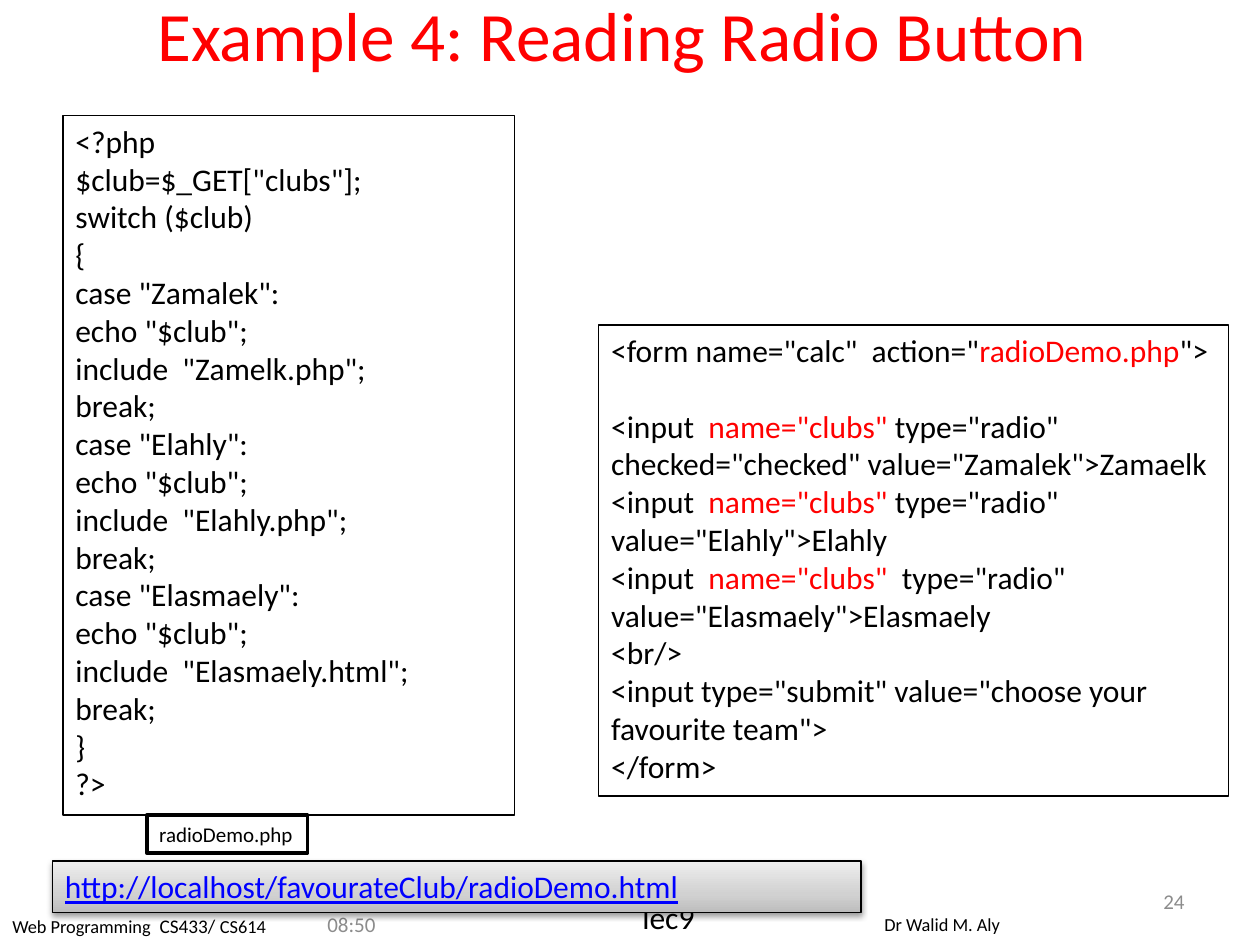
from dataclasses import dataclass

from lxml import etree
from pptx import Presentation
from pptx.dml.color import RGBColor
from pptx.enum import shapes, text
from pptx.oxml import ns
from pptx.util import Cm, Pt


@dataclass(frozen=True)
class Theme:
    font: str = "Calibri"
    ink: str = "000000"
    accent: str = "FF0000"
    muted: str = "8C8C8C"
    link: str = "0000FF"
    paper: str = "FFFFFF"
    title: float = 39.6
    body: float = 18
    small: float = 12
    footer: float = 10.5
    course: float = 11


THEME = Theme()
LEFT, CENTER, RIGHT = text.PP_ALIGN.LEFT, text.PP_ALIGN.CENTER, text.PP_ALIGN.RIGHT
TOP, MIDDLE = text.MSO_ANCHOR.TOP, text.MSO_ANCHOR.MIDDLE

PHP_LINES = [
    "<?php", '$club=$_GET["clubs"];', "switch ($club)", "{",
    'case "Zamalek":', 'echo "$club";', 'include  "Zamelk.php";', "break;",
    'case "Elahly":', 'echo "$club";', 'include  "Elahly.php";', "break;",
    'case "Elasmaely":', 'echo "$club";', 'include  "Elasmaely.html";', "break;",
    "}", "?>",
]

# Odd pieces of a line are highlighted.
FORM_LINES = [
    ('<form name="calc"  action="', "radioDemo.php", '">'),
    ("<input  ", 'name="clubs" ', 'type="radio"  checked="checked" value="Zamalek">Zamaelk'),
    ("<input  ", 'name="clubs" ', 'type="radio"  value="Elahly">Elahly'),
    ("<input  ", 'name="clubs"  ', 'type="radio"  value="Elasmaely">Elasmaely'),
    ("<br/>",),
    ('<input type="submit" value="choose your favourite team">',),
    ("</form>",),
]

BAR_FILL = """<a:gradFill xmlns:a="http://schemas.openxmlformats.org/drawingml/2006/main" rotWithShape="1">
<a:gsLst><a:gs pos="0"><a:srgbClr val="BDBDBD"/></a:gs><a:gs pos="35000"><a:srgbClr val="D1D1D1"/></a:gs>
<a:gs pos="100000"><a:srgbClr val="EEEEEE"/></a:gs></a:gsLst><a:lin ang="16200000" scaled="1"/></a:gradFill>"""
BAR_SHADOW = """<a:outerShdw xmlns:a="http://schemas.openxmlformats.org/drawingml/2006/main"
blurRad="40000" dist="20000" dir="5400000" rotWithShape="0">
<a:srgbClr val="000000"><a:alpha val="38000"/></a:srgbClr></a:outerShdw>"""


def add_span(para, words, size=THEME.body, color=THEME.ink, underline=None):
    span = para.add_run()
    span.text = words
    span.font.name = THEME.font
    span.font.size = Pt(size)
    span.font.color.rgb = RGBColor.from_string(color)
    span.font.underline = underline


def add_label(page, box, spans, align=LEFT, anchor=TOP):
    """Place one line of (words, size, color) spans."""
    frame = page.shapes.add_textbox(*map(Cm, box)).text_frame
    frame.word_wrap = True
    frame.vertical_anchor = anchor
    para = frame.paragraphs[0]
    para.alignment = align
    for span in spans:
        add_span(para, *span)


def add_panel(page, box, line_width=0.75, fill=None):
    panel = page.shapes.add_shape(shapes.MSO_SHAPE.RECTANGLE, *map(Cm, box))
    panel.shadow.inherit = False
    if fill:
        panel.fill.solid()
        panel.fill.fore_color.rgb = RGBColor.from_string(fill)
    else:
        panel.fill.background()
    panel.line.color.rgb = RGBColor.from_string(THEME.ink)
    panel.line.width = Pt(line_width)
    panel.text_frame.word_wrap = True
    panel.text_frame.vertical_anchor = TOP
    panel.text_frame.paragraphs[0].alignment = LEFT
    return panel


def add_code(page, box, lines, gap_before=None):
    """Place a code panel; gap_before is the line that follows an empty line."""
    frame = add_panel(page, box).text_frame
    for index, pieces in enumerate(lines):
        para = frame.add_paragraph() if index else frame.paragraphs[0]
        para.alignment = LEFT
        if index == gap_before:
            para.space_before = Pt(21.6)
        for order, piece in enumerate(pieces):
            add_span(para, piece, color=THEME.accent if order % 2 else THEME.ink)


def add_file_tag(page, box):
    frame = add_panel(page, box, line_width=2, fill=THEME.paper).text_frame
    frame.word_wrap = False
    add_span(frame.paragraphs[0], "radioDemo.php", THEME.small)


def add_address_bar(page, box):
    bar = add_panel(page, box)
    look = bar.fill._xPr
    plain = look.find(ns.qn("a:noFill"))
    look.replace(plain, etree.fromstring(BAR_FILL))
    look.find(ns.qn("a:effectLst")).append(etree.fromstring(BAR_SHADOW))
    add_span(bar.text_frame.paragraphs[0], "http://localhost/favourateClub/radioDemo.html",
             color=THEME.link, underline=True)


def add_footer(page, box):
    left, top, width, height = box
    add_label(page, (left, top + 0.33, 9.96, 1.24), [
        ("Web Programming", THEME.footer),
        ("  CS433/ ", THEME.course),
        ("CS614", THEME.footer),
    ])
    add_label(page, (left + 17.58, top + 0.31, 4.24, 0.74), [("Dr Walid M. Aly", THEME.footer)])
    add_label(page, (left + 12.7, top, 1.9, height), [("lec9",)])
    add_label(page, (left + 6.35, top + 0.33, 1.7, 0.66),
              [("08:50", THEME.small, THEME.muted)], anchor=MIDDLE)
    add_label(page, (left + width - 7.19, top - 0.33, 5.92, 1.02),
              [("24", THEME.small, THEME.muted)], RIGHT, MIDDLE)


def main():
    deck = Presentation()
    deck.slide_width, deck.slide_height = Cm(25.4), Cm(19.05)
    page = deck.slides.add_slide(deck.slide_layouts[6])
    add_footer(page, (0, 17.98, 25.4, 1.07))
    add_label(page, (1.27, 0, 22.86, 1.35),
              [("Example 4: Reading Radio Button ", THEME.title, THEME.accent)], CENTER, MIDDLE)
    add_address_bar(page, (1.06, 17.36, 16.3, 1.03))
    add_file_tag(page, (2.96, 16.43, 3.24, 0.77))
    add_code(page, (1.27, 2.33, 9.1, 14.1), [(line,) for line in PHP_LINES])
    add_code(page, (12.07, 6.55, 12.7, 9.5), FORM_LINES, gap_before=1)
    deck.save("out.pptx")


if __name__ == "__main__":
    main()
